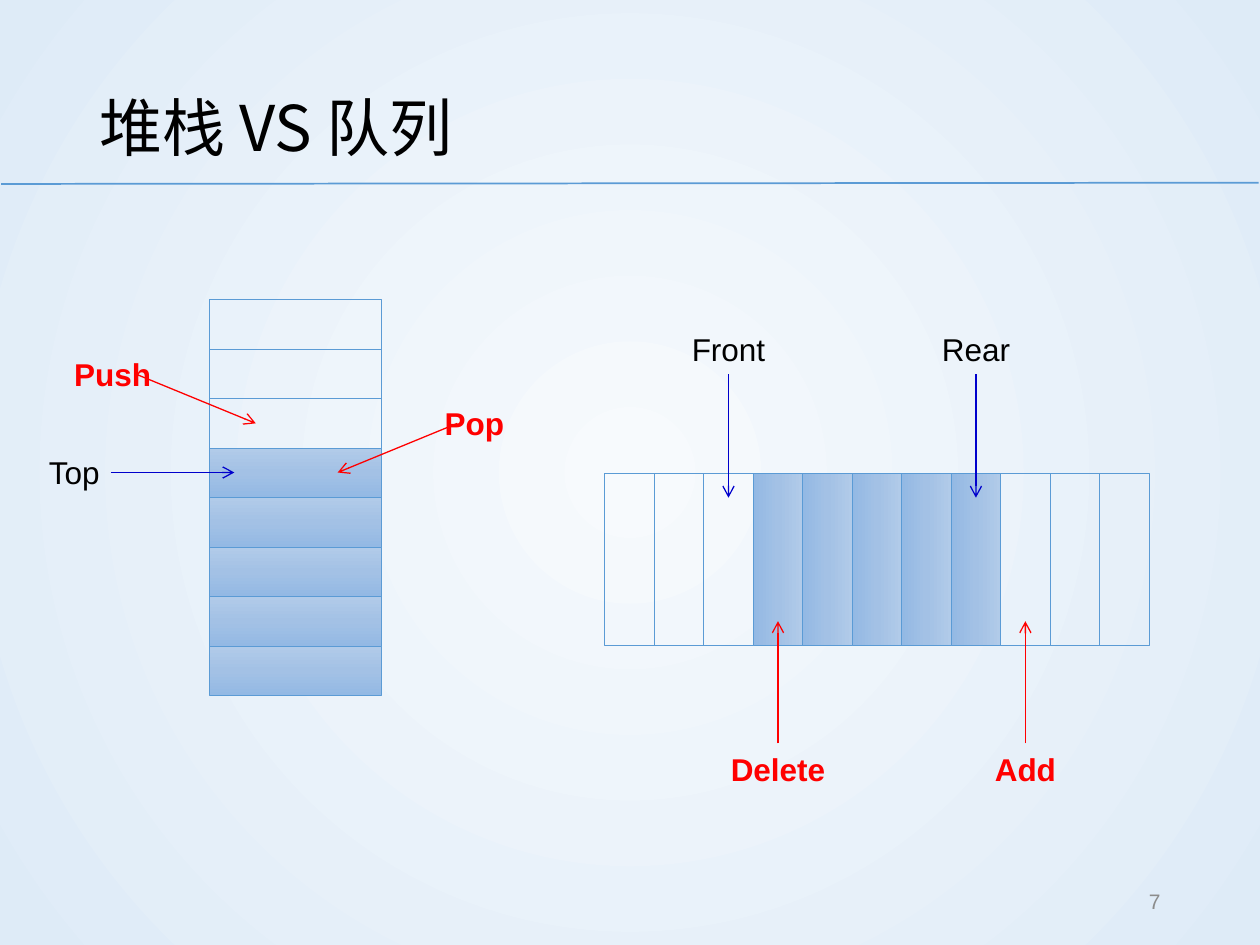
from lxml.etree import SubElement
from pptx import Presentation
from pptx.dml.color import RGBColor
from pptx.enum.shapes import MSO_CONNECTOR as Connector, MSO_SHAPE as Shape
from pptx.enum.text import MSO_ANCHOR as Anchor, MSO_AUTO_SIZE as AutoSize, PP_ALIGN as Align
from pptx.oxml.ns import qn
from pptx.util import Inches, Pt

BLACK, RED, NAVY, BLUE, GRAY = "000000", "FF0000", "0000CC", "5B9BD5", "8C8C8C"
FILLED_STOPS = [(0, "B1CBE9"), (50, "A3C1E5"), (100, "93B9E4")]
BACKGROUND_STOPS = [(0, "F7FAFD"), (100, "DEEBF7")]
CELL_LENGTH = 1.37
STACK_LEFT, STACK_TOP, STACK_HEIGHT, STACK_CELLS, STACK_FREE = 1.66, 2.38, 3.14, 8, 3
QUEUE_LEFT, QUEUE_MIDDLE, QUEUE_WIDTH, QUEUE_CELLS = 4.8, 4.44, 4.32, 11
QUEUE_FILLED = range(3, 8)


def color(value):
    """Turn a hex string into a colour."""
    return RGBColor.from_string(value)


def set_stops(gradient, stops):
    """Empty a gradient and give it the stops."""
    for child in list(gradient):
        gradient.remove(child)
    stop_list = SubElement(gradient, qn("a:gsLst"))
    for position, value in stops:
        stop = SubElement(stop_list, qn("a:gs"), pos=str(position * 1000))
        SubElement(stop, qn("a:srgbClr"), val=value)


def paint_background(slide):
    """Spread a circular gradient from the middle of the slide."""
    slide.background.fill.gradient()
    gradient = slide.element.find(".//" + qn("p:bg")).find(".//" + qn("a:gradFill"))
    set_stops(gradient, BACKGROUND_STOPS)
    circle = SubElement(gradient, qn("a:path"), path="circle")
    SubElement(circle, qn("a:fillToRect"), l="50000", t="50000", r="50000", b="50000")


def add_cell(slide, center_x, center_y, thickness, filled, rotation=0):
    """Add one storage cell, shaded when it holds an item."""
    cell = slide.shapes.add_shape(
        Shape.RECTANGLE, Inches(center_x - CELL_LENGTH / 2), Inches(center_y - thickness / 2),
        Inches(CELL_LENGTH), Inches(thickness))
    cell.shadow.inherit = False
    cell.rotation = rotation
    cell.line.color.rgb = color(BLUE)
    cell.line.width = Pt(0.5)
    if filled:
        cell.fill.gradient()
        gradient = cell.element.spPr.find(qn("a:gradFill"))
        set_stops(gradient, FILLED_STOPS)
        SubElement(gradient, qn("a:lin"), ang="5400000", scaled="0")
    else:
        cell.fill.background()


def add_text(slide, text, left, top, width, height, size=18, value=BLACK, bold=False,
             align=Align.LEFT, anchor=Anchor.TOP, font="Arial", spacing=None, grow=False):
    """Add a one-paragraph text box and return it."""
    box = slide.shapes.add_textbox(Inches(left), Inches(top), Inches(width), Inches(height))
    frame = box.text_frame
    frame.text = text
    frame.word_wrap = True
    frame.auto_size = AutoSize.SHAPE_TO_FIT_TEXT if grow else AutoSize.NONE
    frame.vertical_anchor = anchor
    paragraph = frame.paragraphs[0]
    paragraph.alignment = align
    if spacing:
        paragraph.line_spacing = spacing
    run = paragraph.runs[0]
    run.font.size = Pt(size)
    run.font.bold = bold
    run.font.name = font
    run.font.color.rgb = color(value)
    SubElement(run.font._element, qn("a:ea"), typeface=font)
    return box


def add_line(slide, start, end, value, width=0.75, arrow=True):
    """Add a straight line, with an open arrowhead at its end if asked."""
    line = slide.shapes.add_connector(
        Connector.STRAIGHT, *(Inches(length) for length in (*start, *end)))
    line.line.color.rgb = color(value)
    line.line.width = Pt(width)
    if arrow:
        SubElement(line.line._get_or_add_ln(), qn("a:tailEnd"), type="arrow")
    SubElement(line.element.spPr, qn("a:effectLst"))
    return line


def add_stack(slide):
    """Draw the stack with its top pointer and operations."""
    pitch = STACK_HEIGHT / STACK_CELLS
    for index in range(STACK_CELLS):
        add_cell(slide, STACK_LEFT + CELL_LENGTH / 2, STACK_TOP + (index + 0.5) * pitch,
                 pitch, index >= STACK_FREE)
    for text, left, top, width, value, start, end in [
        ("Top", 0.29, 3.55, 0.78, BLACK, (0.88, 3.75), (1.86, 3.75)),
        ("Push", 0.49, 2.77, 0.95, RED, (1.08, 2.97), (2.03, 3.36)),
        ("Pop", 3.43, 3.16, 0.78, RED, (3.63, 3.36), (2.68, 3.75)),
    ]:
        add_line(slide, start, end, NAVY if value == BLACK else RED)
        add_text(slide, text, left, top, width, 0.4, value=value, bold=value == RED, grow=True)


def add_queue(slide):
    """Draw the queue with its two pointers and operations."""
    pitch = QUEUE_WIDTH / QUEUE_CELLS
    centers = [QUEUE_LEFT + (index + 0.5) * pitch for index in range(QUEUE_CELLS)]
    for index, center in enumerate(centers):
        add_cell(slide, center, QUEUE_MIDDLE, pitch, index in QUEUE_FILLED, rotation=90)
    for text, index, top, width, value, tip, side in [
        ("Front", 2, 2.57, 0.82, BLACK, 3.95, 2),
        ("Rear", 7, 2.57, 0.82, BLACK, 3.95, 2),
        ("Delete", 3, 5.9, 1.18, RED, 4.93, 0),
        ("Add", 8, 5.9, 1.18, RED, 4.93, 0),
    ]:
        center = centers[index]
        label = add_text(slide, text, center - width / 2, top, width, 0.4, value=value,
                         bold=value == RED, align=Align.CENTER, grow=True)
        pointer = add_line(slide, (center, top), (center, tip), NAVY if value == BLACK else RED)
        pointer.begin_connect(label, side)


def main():
    """Build and save the slide."""
    deck = Presentation()
    deck.slide_width, deck.slide_height = Inches(10), Inches(7.5)
    slide = deck.slides.add_slide(deck.slide_layouts[6])
    paint_background(slide)
    add_line(slide, (0.01, 1.46), (9.99, 1.45), BLUE, width=1, arrow=False)
    add_text(slide, "堆栈 VS 队列", 0.69, 0.4, 8.62, 1.08, size=36, anchor=Anchor.MIDDLE,
             font="Noto Sans CJK SC", spacing=1.2)
    add_text(slide, "7", 7.06, 6.95, 2.25, 0.4, size=12, value=GRAY, align=Align.RIGHT,
             anchor=Anchor.MIDDLE)
    add_stack(slide)
    add_queue(slide)
    deck.save("out.pptx")


if __name__ == "__main__":
    main()
